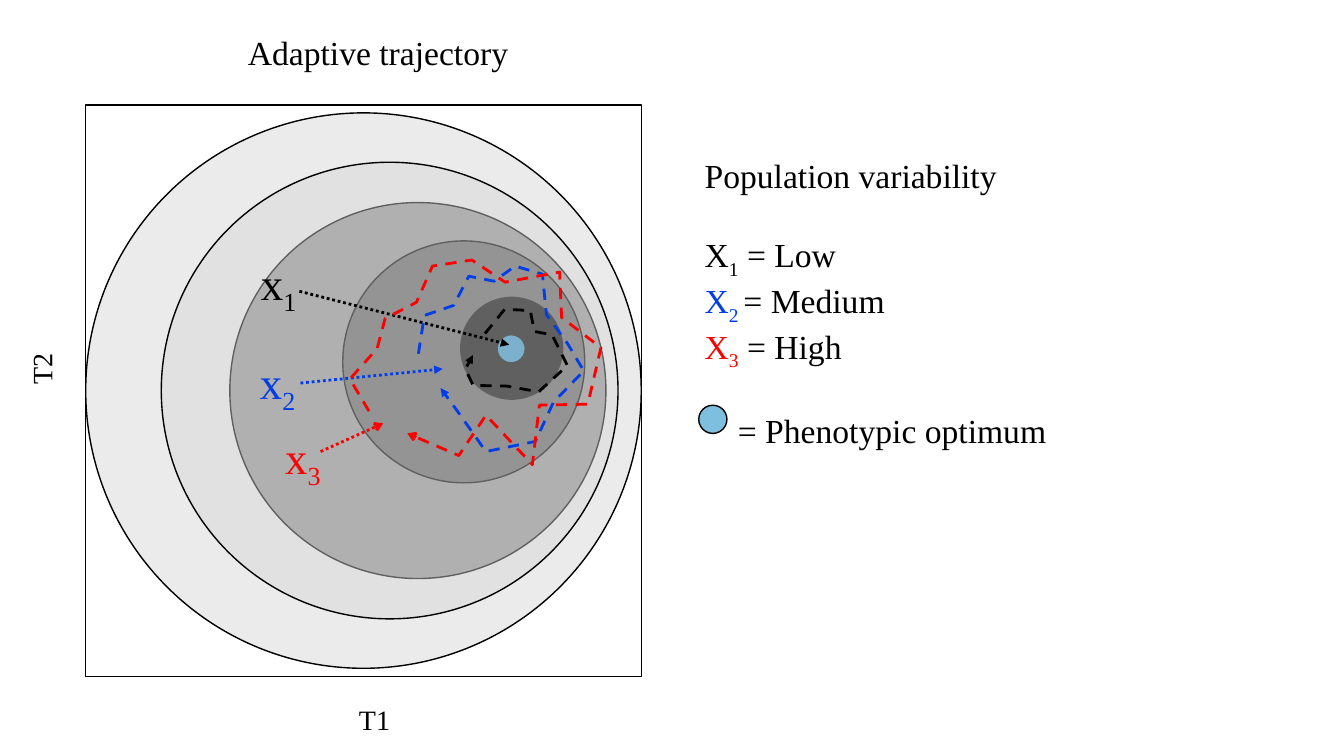
from lxml.etree import SubElement
from pptx import Presentation
from pptx.dml.color import RGBColor
from pptx.enum.dml import MSO_LINE
from pptx.enum.shapes import MSO_CONNECTOR, MSO_SHAPE
from pptx.enum.text import MSO_ANCHOR
from pptx.oxml.ns import qn
from pptx.util import Inches, Pt

FONT = "Times New Roman"
BLACK = RGBColor(0x00, 0x00, 0x00)
BLUE = RGBColor(0x02, 0x3E, 0xE8)
RED = RGBColor(0xFF, 0x00, 0x00)
OUTER_GREY = RGBColor(0xEB, 0xEB, 0xEB)
MIDDLE_GREY = RGBColor(0x92, 0x92, 0x92)
INNER_GREY = RGBColor(0x5E, 0x5E, 0x5E)
VEIL_GREY = RGBColor(0xD6, 0xD6, 0xD6)
OPTIMUM_BLUE = RGBColor(0x33, 0x94, 0xC6)
LEGEND_BLUE = RGBColor(0x7E, 0xBE, 0xDE)

PLOT_FRAME = (0.85, 1.04, 5.51, 5.67)
FITNESS_RINGS = [
    (0.85, 1.12, 5.51, OUTER_GREY),
    (2.28, 2.01, 3.73, MIDDLE_GREY),
    (3.4, 2.39, 2.4, INNER_GREY),
]
OPTIMUM_RINGS = [(4.57, 2.95, 1.01, BLACK), (4.93, 3.32, 0.28, OPTIMUM_BLUE)]
VEIL_RING = (1.6, 1.61, 4.53, VEIL_GREY)
VEIL_ALPHA = 45
LEGEND_DOT = (6.93, 4.02, 0.28, LEGEND_BLUE)

TITLE = ("Adaptive trajectory", (2.36, 0.27, 2.81, 0.5))
AXES = [("T1", (3.5, 6.86, 0.65, 0.48), 0), ("T2", (0.05, 3.31, 0.65, 0.48), 270)]

LEGEND_BOX = (6.89, 1.49, 3.78, 2.93)
LEGEND_GAP = Pt(27.6)
LEGEND = [
    ([("Population variability", BLACK, False)], 0, 0),
    ([("X", BLACK, False), ("1", BLACK, True), (" = Low", BLACK, False)], LEGEND_GAP, 0),
    ([("X", BLUE, False), ("2 ", BLUE, True), ("= Medium", BLACK, False)], 0, 0),
    ([("X", RED, False), ("3", RED, True), (" = High", BLACK, False)], 0, 0),
    ([("= Phenotypic optimum", BLACK, False)], LEGEND_GAP, Inches(0.33)),
]

POPULATIONS = [
    {
        "number": "1", "color": BLACK, "head": "triangle", "label": (2.49, 2.49),
        "pointer": [(2.97, 2.89), (5.05, 3.42)], "rotation": 354.1,
        "trajectory": [
            (4.83, 3.28), (5.05, 3.06), (5.3, 3.1), (5.32, 3.31), (5.49, 3.36), (5.61, 3.68),
            (5.3, 3.91), (4.99, 3.82), (4.66, 3.78), (4.6, 3.61), (4.69, 3.48),
        ],
    },
    {
        "number": "2", "color": BLUE, "head": "triangle", "label": (2.48, 3.47),
        "pointer": [(2.98, 3.8), (4.39, 3.66)], "rotation": 0,
        "trajectory": [
            (4.15, 3.51), (4.21, 3.13), (4.5, 3.03), (4.65, 2.74), (4.9, 2.79), (5.11, 2.64),
            (5.38, 2.72), (5.42, 3.12), (5.63, 3.41), (5.79, 3.68), (5.49, 3.99), (5.31, 4.38),
            (4.82, 4.48), (4.56, 4.11), (4.37, 3.85),
        ],
    },
    {
        "number": "3", "color": RED, "head": "arrow", "label": (2.73, 4.21),
        "pointer": [(3.18, 4.48), (3.8, 4.2)], "rotation": 0,
        "trajectory": [
            (3.66, 4.08), (3.47, 3.76), (3.74, 3.46), (3.82, 3.16), (4.13, 3), (4.29, 2.64),
            (4.68, 2.58), (5.01, 2.8), (5.55, 2.7), (5.57, 3.15), (5.96, 3.45), (5.83, 4.01),
            (5.35, 4.02), (5.28, 4.61), (4.82, 4.12), (4.55, 4.52), (4.04, 4.3),
        ],
    },
]

presentation = Presentation()
presentation.slide_width = Inches(13.33)
presentation.slide_height = Inches(7.5)
slide = presentation.slides.add_slide(presentation.slide_layouts[6])
shapes = slide.shapes


def inches(values):
    return [Inches(value) for value in values]


def add_outlined(kind, box, color=None):
    shape = shapes.add_shape(kind, *inches(box))
    shape.shadow.inherit = False
    if color is None:
        shape.fill.background()
    else:
        shape.fill.solid()
        shape.fill.fore_color.rgb = color
    shape.line.color.rgb = BLACK
    shape.line.width = Pt(1)
    return shape


def add_circle(left, top, diameter, color):
    return add_outlined(MSO_SHAPE.OVAL, (left, top, diameter, diameter), color)


def add_runs(paragraph, runs, size):
    for text, color, subscript in runs:
        run = paragraph.add_run()
        run.text = text
        run.font.name = FONT
        run.font.size = Pt(size)
        run.font.color.rgb = color
        if subscript:
            run._r.get_or_add_rPr().set("baseline", "-25000")


def add_text(box, runs, size, wrap=False):
    text_box = shapes.add_textbox(*inches(box))
    text_box.text_frame.word_wrap = wrap
    add_runs(text_box.text_frame.paragraphs[0], runs, size)
    return text_box


def style_arrow(shape, color, dash, head):
    shape.line.color.rgb = color
    shape.line.width = Pt(2)
    shape.line.dash_style = dash
    SubElement(shape.line._get_or_add_ln(), qn("a:tailEnd"), type=head)


def add_pointer(population):
    start, end = population["pointer"]
    connector = shapes.add_connector(MSO_CONNECTOR.STRAIGHT, *inches(start + end))
    style_arrow(connector, population["color"], MSO_LINE.ROUND_DOT, population["head"])
    SubElement(connector._element.spPr, qn("a:effectLst"))


def add_trajectory(population):
    start, *rest = [inches(point) for point in population["trajectory"]]
    builder = shapes.build_freeform(*start)
    builder.add_line_segments(rest, close=False)
    shape = builder.convert_to_shape()
    shape.shadow.inherit = False
    shape.fill.background()
    shape.rotation = population["rotation"]
    style_arrow(shape, population["color"], MSO_LINE.DASH, population["head"])


title, title_box = TITLE
add_text(title_box, [(title, BLACK, False)], 24)

for ring in FITNESS_RINGS:
    add_circle(*ring)
add_outlined(MSO_SHAPE.RECTANGLE, PLOT_FRAME)
for ring in OPTIMUM_RINGS:
    add_circle(*ring)
veil = add_circle(*VEIL_RING)
veil_color = veil._element.spPr.find(qn("a:solidFill"))[0]
SubElement(veil_color, qn("a:alpha"), val=str(VEIL_ALPHA * 1000))

for name, box, rotation in AXES:
    axis_label = add_text(box, [(name, BLACK, False)], 20, wrap=True)
    axis_label.rotation = rotation
    frame = axis_label.text_frame
    frame.vertical_anchor = MSO_ANCHOR.MIDDLE
    frame.margin_left = frame.margin_right = Inches(0.06)
    frame.margin_top = frame.margin_bottom = Inches(0.06)
    frame.paragraphs[0].line_spacing = 1.2

legend_frame = add_text(LEGEND_BOX, LEGEND[0][0], 24, wrap=True).text_frame
for runs, gap, indent in LEGEND[1:]:
    paragraph = legend_frame.add_paragraph()
    paragraph.space_before = gap
    paragraph._p.get_or_add_pPr().set("marL", str(indent))
    add_runs(paragraph, runs, 24)
add_circle(*LEGEND_DOT)

for population in POPULATIONS:
    color = population["color"]
    label_runs = [("x", color, False), (population["number"], color, True)]
    add_text(population["label"] + (0.58, 0.64), label_runs, 32)
    add_pointer(population)
for population in POPULATIONS:
    add_trajectory(population)

presentation.save("out.pptx")
